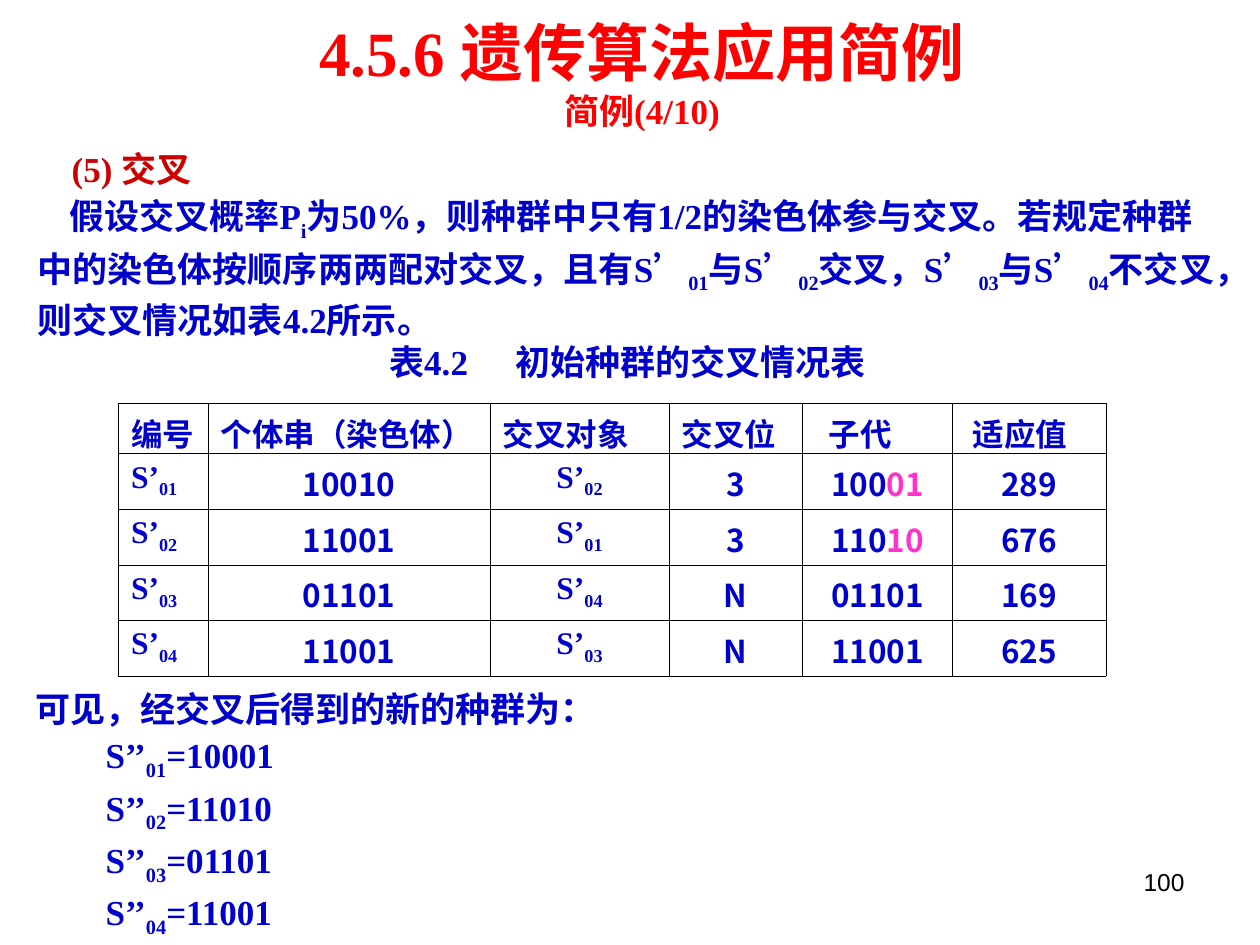
from lxml import etree
from pptx import Presentation, util as u
from pptx.dml.color import RGBColor
from pptx.enum import text
from pptx.oxml.ns import qn

BLUE = RGBColor(0x00, 0x00, 0xCC)
RED = RGBColor(0xFF, 0x00, 0x00)
DARK = RGBColor(0xCC, 0x00, 0x00)
PINK = RGBColor(0xFF, 0x33, 0xCC)
BLACK = RGBColor(0x00, 0x00, 0x00)
SERIF, SANS, HEI = "Times New Roman", "Arial", "Noto Sans CJK SC"
LEFT, MID, RIGHT = text.PP_ALIGN.LEFT, text.PP_ALIGN.CENTER, text.PP_ALIGN.RIGHT

# Content: _x_ is a subscript, |x| is a swapped gene
TITLE = "4.5.6 遗传算法应用简例"
PART = "简例(4/10)"
HEAD = "(5) 交叉"
BODY = ("假设交叉概率P_i_为50%，则种群中只有1/2的染色体参与交叉。"
        "若规定种群中的染色体按顺序两两配对交叉，且有S’_01_与S’_02_交叉，"
        "S’_03_与S’_04_不交叉，则交叉情况如表4.2所示。")
CAPTION = "表4.2\t初始种群的交叉情况表"
COLS = [("编号", 0.71, 0), ("个体串（染色体）", 2.24, 0), ("交叉对象", 1.42, 0),
        ("交叉位", 1.06, 0), ("子代", 1.19, 0.11), ("适应值", 1.22, 0.06)]
ROWS = [("S’_01_", "10010", "S’_02_", "3", "100|01|", "289"),
        ("S’_02_", "11001", "S’_01_", "3", "110|10|", "676"),
        ("S’_03_", "01101", "S’_04_", "N", "01101", "169"),
        ("S’_04_", "11001", "S’_03_", "N", "11001", "625")]
RESULT = "可见，经交叉后得到的新的种群为："
PAGE = "100"


def write(par, line, size=20, color=BLUE, face=SERIF, bold=True, align=LEFT,
          gap=None, before=None, first=0, left=0, tab=None):
    par.alignment = align
    if gap:
        par.line_spacing = gap
    if before:
        par.space_before = u.Pt(before)
    prop = par._p.get_or_add_pPr()
    prop.set("marL", str(u.Inches(left)))
    prop.set("indent", str(u.Inches(first)))
    if tab:
        stops = etree.SubElement(prop, qn("a:tabLst"))
        etree.SubElement(stops, qn("a:tab"), pos=str(u.Inches(tab)), algn="l")
    font = par.font
    font.size, font.bold, font.name = u.Pt(size), bold, face
    font.color.rgb = color
    for i, piece in enumerate(line.split("_")):
        for j, bit in enumerate(piece.split("|")):
            if not bit:
                continue
            run = par.add_run()
            run.text = bit
            if i % 2:
                run._r.get_or_add_rPr().set("baseline", "-25000")
            if j % 2:
                run.font.color.rgb = PINK


def box(x, y, w, h, lines, wrap=True):
    frame = slide.shapes.add_textbox(*map(u.Inches, (x, y, w, h))).text_frame
    frame.word_wrap = wrap
    for i, (line, look) in enumerate(lines):
        par = frame.add_paragraph() if i else frame.paragraphs[0]
        write(par, line, **look)


def edge(cell):
    prop = cell._tc.get_or_add_tcPr()
    for i, side in enumerate(("lnL", "lnR", "lnT", "lnB")):
        line = etree.Element(qn("a:" + side), w=str(u.Pt(0.45)))
        fill = etree.SubElement(line, qn("a:solidFill"))
        etree.SubElement(fill, qn("a:srgbClr"), val=str(BLACK))
        prop.insert(i, line)


deck = Presentation()
deck.slide_width, deck.slide_height = u.Inches(10), u.Inches(7.5)
slide = deck.slides.add_slide(deck.slide_layouts[6])

# Page number and running text
box(7.17, 6.83, 2.33, 0.52, [
    (PAGE, dict(size=14, color=BLACK, face=SANS, bold=False, align=RIGHT))])
box(0.2, 1.09, 9.61, 1.72, [
    (HEAD, dict(color=DARK, gap=1.1, first=0.27)),
    (BODY, dict(gap=1.1, first=0.25))])

# Crossover table
wide = [w for _, w, _ in COLS]
high = [0.4] + [0.44] * len(ROWS)
grid = slide.shapes.add_table(len(high), len(wide), u.Inches(0.94), u.Inches(3.2),
                              u.Inches(sum(wide)), u.Inches(sum(high))).table
for col, w in zip(grid.columns, wide):
    col.width = u.Inches(w)
for row, h in zip(grid.rows, high):
    row.height = u.Inches(h)
for r, row in enumerate([[name for name, _, _ in COLS]] + ROWS):
    for c, word in enumerate(row):
        cell = grid.cell(r, c)
        cell.fill.background()
        edge(cell)
        face = SANS if r == 0 else SERIF if "_" in word else HEI
        write(cell.text_frame.paragraphs[0], word, size=18, face=face,
              align=MID if r and c else LEFT, left=0 if r else COLS[c][2])

# Title, result and caption
box(0.37, 0.06, 9.45, 1.04, [
    (TITLE, dict(size=36, color=RED, align=MID)),
    (PART, dict(color=RED, align=MID))])
born = [(f"S’{row[0][1:]}={row[4].replace('|', '')}",
         dict(gap=1.05, before=1.2, left=0.56)) for row in ROWS]
box(0.18, 5.39, 8.98, 2.11, [(RESULT, dict(gap=1.05))] + born)
box(2.99, 2.62, 4.02, 0.47, [(CAPTION, dict(gap=1.1, tab=1.03))], wrap=False)

deck.save("out.pptx")
